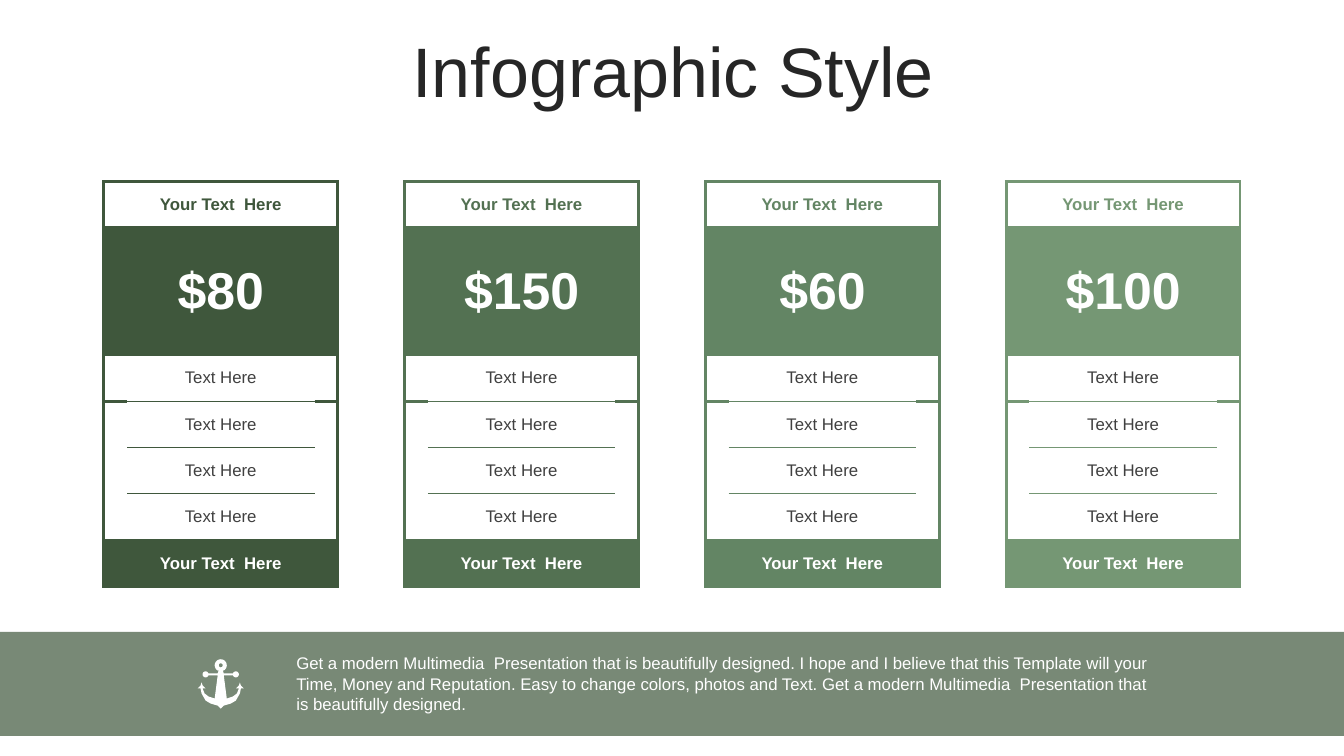
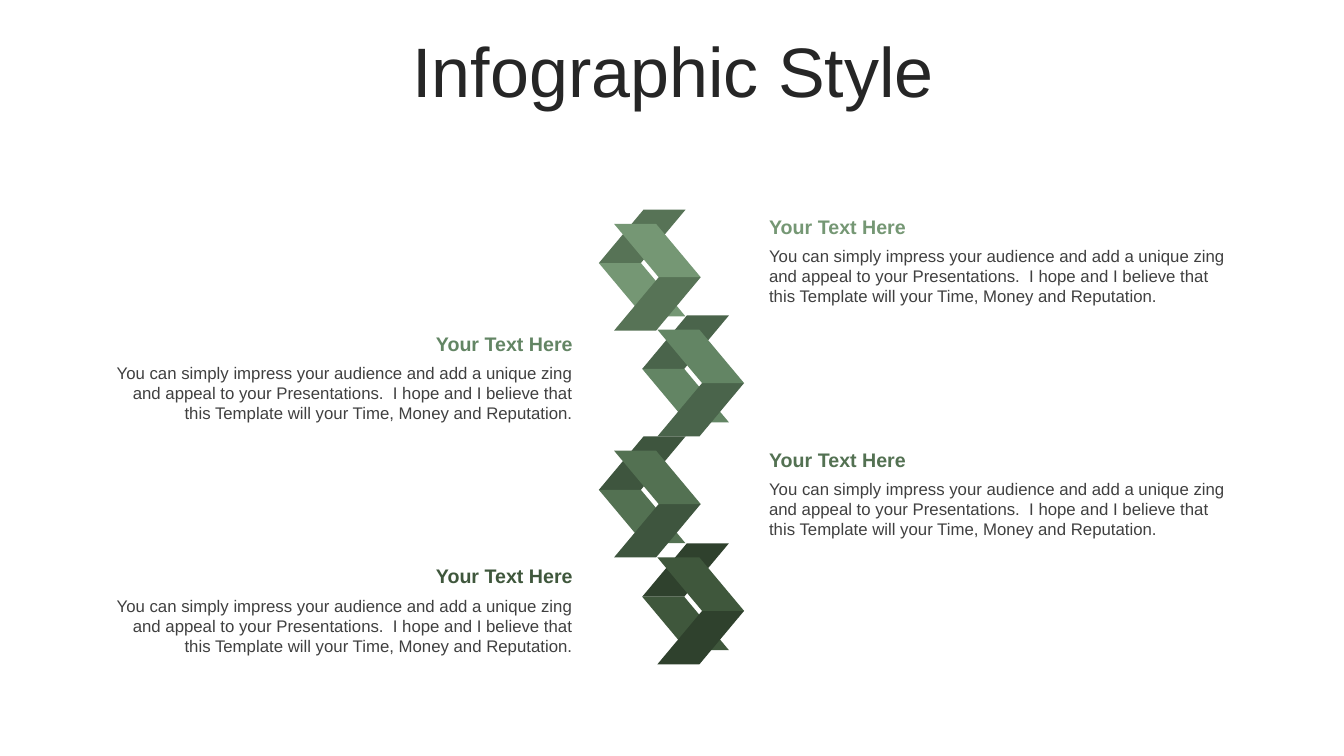
import math

from lxml import etree
from pptx import Presentation
from pptx import util as u
from pptx.dml import color as dml
from pptx.enum import shapes, text
from pptx.oxml import ns

FONT = "Arial"
WHITE, BODY, HEADING = "FFFFFF", "404040", "262626"
GREENS = ["3F573C", "537152", "638564", "759774"]
SHADES = ["2F412D", "3E553E", "4A644B", "577356"]
LEFT, CENTER, RIGHT = text.PP_ALIGN.LEFT, text.PP_ALIGN.CENTER, text.PP_ALIGN.RIGHT


def paint(fill, hex_color):
    """Make a fill (of a shape, cell or font) solid in the given colour."""
    fill.solid()
    fill.fore_color.rgb = dml.RGBColor.from_string(hex_color)


def write(frame, words, size=12, color=BODY, bold=False, align=LEFT, spacing=None,
          anchor=text.MSO_ANCHOR.TOP):
    frame.word_wrap = True
    frame.vertical_anchor = anchor
    frame.text = words
    paragraph = frame.paragraphs[0]
    paragraph.alignment = align
    paragraph.line_spacing = spacing
    font = paragraph.runs[0].font
    font.name, font.size, font.bold = FONT, u.Pt(size), bold
    paint(font.fill, color)


presentation = Presentation()
presentation.slide_width = u.Inches(13.33)
presentation.slide_height = u.Inches(7.5)

# Shared title: placed on the layout, worded on each slide
layout = presentation.slide_layouts.get_by_name("Title Only")
layout_title = layout.placeholders[0]
layout_title.left, layout_title.top = u.Inches(0.35), u.Inches(0.37)
layout_title.width, layout_title.height = u.Inches(12.66), u.Inches(0.79)
for _ in range(2):
    title = presentation.slides.add_slide(layout).shapes.title
    write(title.text_frame, "Infographic Style", size=50, color=HEADING, align=CENTER,
          spacing=0.8, anchor=text.MSO_ANCHOR.MIDDLE)
    title.text_frame.auto_size = text.MSO_AUTO_SIZE.NONE
pricing_slide, ribbon_slide = presentation.slides

# Slide 1: four price tables
ROW_HEIGHTS = [0.46, 1.26] + [0.46] * 5
COLUMN_WIDTHS = [0.23, 1.86, 0.23]
MERGED_ROWS = (0, 1, 6)
FIRST_LEFT, LAST_LEFT = 1.03, 9.98
NO_STYLE = "{2D5ABB26-0587-4C30-8999-92F81FD0307C}"

for index, (green, price) in enumerate(zip(GREENS, ["$80", "$150", "$60", "$100"])):
    left = FIRST_LEFT + index * (LAST_LEFT - FIRST_LEFT) / 3
    frame = pricing_slide.shapes.add_table(
        len(ROW_HEIGHTS), len(COLUMN_WIDTHS), u.Inches(left), u.Inches(1.8),
        u.Inches(sum(COLUMN_WIDTHS)), u.Inches(sum(ROW_HEIGHTS)))
    table = frame.table
    table.first_row = table.horz_banding = False
    table._tbl.tblPr.find(ns.qn("a:tableStyleId")).text = NO_STYLE
    for column, width in zip(table.columns, COLUMN_WIDTHS):
        column.width = u.Inches(width)

    for row, height in enumerate(ROW_HEIGHTS):
        table.rows[row].height = u.Inches(height)
        merged = row in MERGED_ROWS
        for column in range(3):
            cell = table.cell(row, column)
            properties = cell._tc.get_or_add_tcPr()
            # edge: (is drawn, is thick)
            edges = {
                "a:lnL": (merged or column == 0, True),
                "a:lnR": (merged or column == 2, True),
                "a:lnT": (merged or row == 2 or column == 1, merged or row == 2),
                "a:lnB": (merged or row == 5 or column == 1, merged or row == 5),
            }
            for tag, (drawn, thick) in edges.items():
                if drawn:
                    line = etree.SubElement(properties, ns.qn(tag),
                                            w=str(u.Pt(2.25 if thick else 1)))
                    solid = etree.SubElement(line, ns.qn("a:solidFill"))
                    etree.SubElement(solid, ns.qn("a:srgbClr"), val=green)
            paint(cell.fill, green if row in (1, 6) else WHITE)
            cell.margin_left = cell.margin_right = u.Inches(0.09)
            cell.margin_top = cell.margin_bottom = u.Inches(0.04)
            cell.vertical_anchor = text.MSO_ANCHOR.MIDDLE
        if merged:
            table.cell(row, 0).merge(table.cell(row, 2))
        else:
            write(table.cell(row, 1).text_frame, "Text Here", align=CENTER,
                  anchor=text.MSO_ANCHOR.MIDDLE)

    labels = [(0, "Your Text  Here", 12, green), (1, price, 37, WHITE),
              (6, "Your Text  Here", 12, WHITE)]
    for row, words, size, color in labels:
        write(table.cell(row, 0).text_frame, words, size=size, color=color, bold=True,
              align=CENTER, anchor=text.MSO_ANCHOR.MIDDLE)

# Translucent band with its text
band = pricing_slide.shapes.add_shape(
    shapes.MSO_SHAPE.RECTANGLE, 0, u.Inches(6.27), presentation.slide_width, u.Inches(1.03))
band.shadow.inherit = False
band.line.fill.background()
paint(band.fill, GREENS[0])
band_color = band._element.spPr.find(".//" + ns.qn("a:srgbClr"))
etree.SubElement(band_color, ns.qn("a:alpha"), val="70000")

band_text = pricing_slide.shapes.add_textbox(
    u.Inches(2.84), u.Inches(6.43), u.Inches(8.78), u.Inches(0.71))
write(band_text.text_frame,
      "Get a modern Multimedia  Presentation that is beautifully designed. "
      "I hope and I believe that this Template will your Time, Money and Reputation. "
      "Easy to change colors, photos and Text. "
      "Get a modern Multimedia  Presentation that is beautifully designed.", color=WHITE)

# Anchor: right half from top to bottom, mirrored; offsets from the ring centre
ANCHOR_X, ANCHOR_Y = 2.19, 6.6
ring = [(0.06 * math.sin(math.radians(a)), -0.06 * math.cos(math.radians(a)))
        for a in range(0, 151, 15)]
knob = [(0.15 + 0.03 * math.cos(math.radians(a)), 0.09 + 0.03 * math.sin(math.radians(a)))
        for a in range(200, 521, 20)]
arm = [(0.03, 0.1), (0.06, 0.33), (0.12, 0.31), (0.16, 0.28), (0.18, 0.23), (0.15, 0.23),
       (0.18, 0.2), (0.19, 0.17), (0.2, 0.2), (0.23, 0.23), (0.2, 0.23), (0.19, 0.28),
       (0.15, 0.35), (0.1, 0.38), (0.03, 0.4), (0, 0.43)]
right_half = ring + [(0.02, 0.05), (0.03, 0.08), (0.12, 0.08)] + knob + [(0.12, 0.1)] + arm
outline = right_half + [(-x, y) for x, y in reversed(right_half)]
hole = [(0.02 * math.cos(math.radians(a)), -0.02 * math.sin(math.radians(a)))
        for a in range(0, 360, 20)]
outline, hole = ([(u.Inches(ANCHOR_X + x), u.Inches(ANCHOR_Y + y)) for x, y in contour]
                 for contour in (outline, hole))
builder = pricing_slide.shapes.build_freeform(*outline[0])
builder.add_line_segments(outline[1:])
builder.move_to(*hole[0])
builder.add_line_segments(hole[1:])
anchor_icon = builder.convert_to_shape()
anchor_icon.shadow.inherit = False
anchor_icon.line.fill.background()
paint(anchor_icon.fill, WHITE)

# Slide 2: folded ribbons, alternating with text on the opposite side
RIBBON_TOPS = [2.08, 3.13, 4.33, 5.39]
TEXT_TOPS = [2.08, 3.24, 4.39, 5.55]
FOLD_WIDTH, FOLD_HEIGHT = 0.86, 0.53
# x offset, y offset, rotation, flipped (flipped folds take the lighter green)
FOLDS = [(0, 0, 0, False), (0, FOLD_HEIGHT, 0, True),
         (0.15, 0.67, 180, False), (0.15, 0.14, 180, True)]
DESCRIPTION = ("You can simply impress your audience and add a unique zing and appeal to your "
               "Presentations.  I hope and I believe that this Template will your Time, "
               "Money and Reputation.")

steps = zip(RIBBON_TOPS, TEXT_TOPS, reversed(GREENS), reversed(SHADES))
for index, (ribbon_top, text_top, green, shade) in enumerate(steps):
    text_on_right = index % 2 == 0
    ribbon_left = 5.94 if text_on_right else 6.37
    for x, y, rotation, flipped in FOLDS:
        fold = ribbon_slide.shapes.add_shape(
            shapes.MSO_SHAPE.PARALLELOGRAM, u.Inches(ribbon_left + x),
            u.Inches(ribbon_top + y), u.Inches(FOLD_WIDTH), u.Inches(FOLD_HEIGHT))
        fold.adjustments[0] = 0.836
        fold.rotation = rotation
        if flipped:
            fold._element.spPr.find(ns.qn("a:xfrm")).set("flipH", "1")
        fold.shadow.inherit = False
        fold.line.fill.background()
        paint(fold.fill, green if flipped else shade)

    text_left, align = (7.53, LEFT) if text_on_right else (0.98, RIGHT)
    for top, height, words, style in [
        (text_top, 0.34, "Your Text Here", {"size": 14, "color": green, "bold": True}),
        (text_top + 0.31, 0.71, DESCRIPTION, {}),
    ]:
        box = ribbon_slide.shapes.add_textbox(
            u.Inches(text_left), u.Inches(top), u.Inches(4.8), u.Inches(height))
        write(box.text_frame, words, align=align, **style)

presentation.save("out.pptx")
